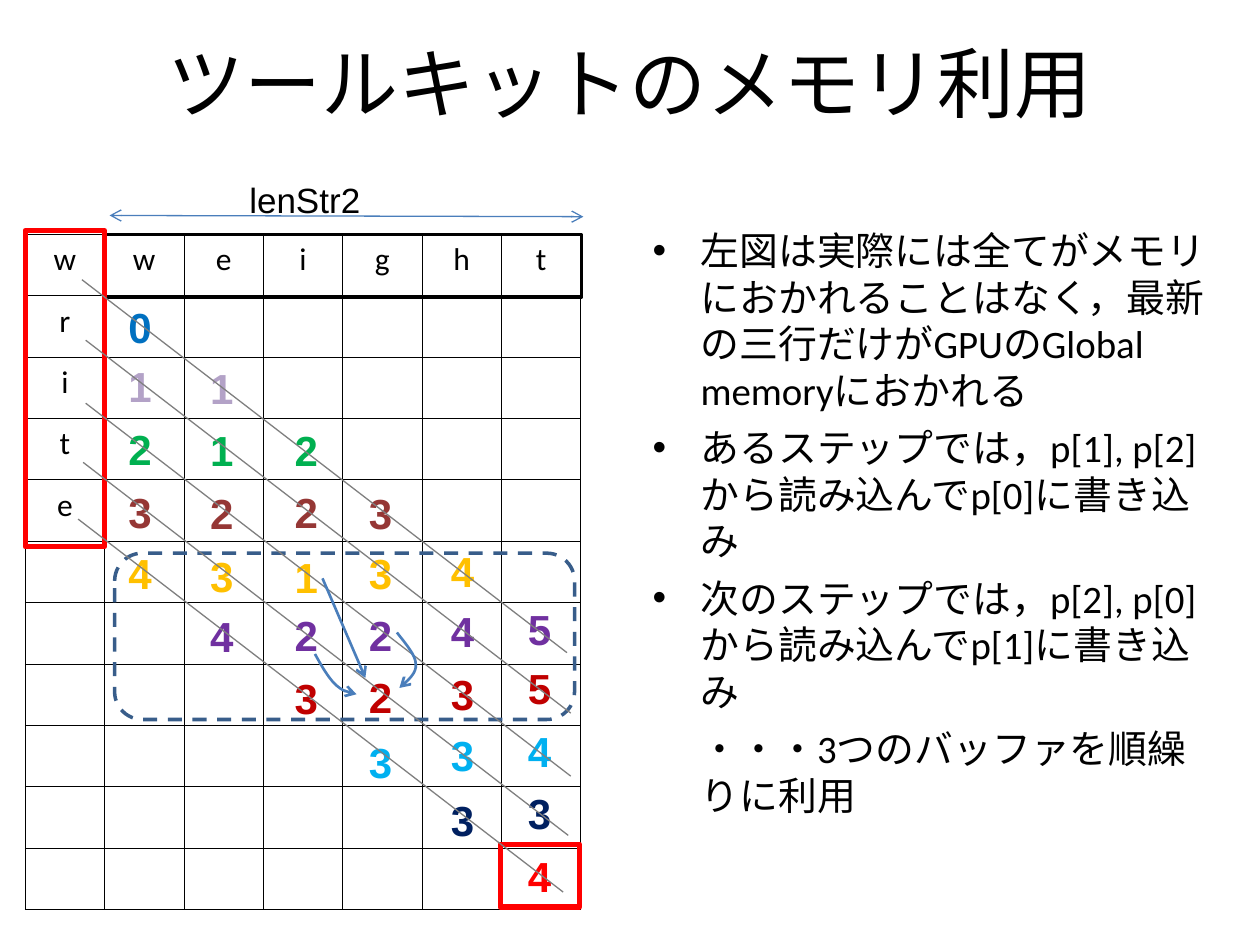
from lxml.etree import SubElement
from pptx import Presentation
from pptx.dml.color import RGBColor
from pptx.enum.dml import MSO_LINE
from pptx.enum.shapes import MSO_CONNECTOR, MSO_SHAPE
from pptx.enum.text import MSO_ANCHOR, MSO_AUTO_SIZE, PP_ALIGN
from pptx.oxml import parse_xml
from pptx.oxml.ns import nsdecls, qn
from pptx.util import Inches, Pt

INK = {
    "black": "000000", "red": "FF0000", "gray": "7F7F7F", "arrow": "4A7EBB",
    "frame": "385D8A", "blue": "0070C0", "lilac": "B3A2C7", "green": "00B050",
    "brown": "953735", "gold": "FFC000", "purple": "7030A0",
    "crimson": "C00000", "sky": "00B0F0", "navy": "002060",
}


def write(par, text, size, face="Calibri", ink="black", bold=False):
    run = par.add_run()
    run.text = text
    run.font.size = Pt(size)
    run.font.name = face
    run.font.bold = bold
    run.font.color.rgb = RGBColor.from_string(INK[ink])


def stroke(shape, ink, width, dash=None, ends=()):
    """Give a shape a plain line, optional arrowheads and no shadow."""
    line = shape.line
    line.color.rgb = RGBColor.from_string(INK[ink])
    line.width = Pt(width)
    if dash:
        line.dash_style = dash
    for end in ends:
        SubElement(line._get_or_add_ln(), qn(f"a:{end}"), type="arrow")
    SubElement(shape._element.spPr, qn("a:effectLst"))


deck = Presentation()
deck.slide_width, deck.slide_height = Inches(10), Inches(7.5)
slide = deck.slides.add_slide(deck.slide_layouts[1])
shapes = slide.shapes

# Title
title = shapes.title
title.left, title.top = Inches(0.5), Inches(0.3)
title.width, title.height = Inches(9), Inches(0.69)
frame = title.text_frame
frame.auto_size = MSO_AUTO_SIZE.NONE
frame.vertical_anchor = MSO_ANCHOR.MIDDLE
frame.paragraphs[0].alignment = PP_ALIGN.CENTER
write(frame.paragraphs[0], "ツールキットのメモリ利用", 44)

# Notes on the right; the last one has a tab in place of a bullet
body = slide.placeholders[1]
body.left, body.top = Inches(5.08), Inches(1.75)
body.width, body.height = Inches(4.62), Inches(4.95)
frame = body.text_frame
frame.auto_size = MSO_AUTO_SIZE.NONE
points = [
    "左図は実際には全てがメモリにおかれることはなく，最新の三行だけがGPUのGlobal memoryにおかれる",
    "あるステップでは，p[1], p[2]から読み込んでp[0]に書き込み",
    "次のステップでは，p[2], p[0]から読み込んでp[1]に書き込み",
    "\t・・・3つのバッファを順繰りに利用",
]
for i, text in enumerate(points):
    par = frame.add_paragraph() if i else frame.paragraphs[0]
    props = par._p.get_or_add_pPr()
    props.set("marL", str(Inches(0.38)))
    props.set("indent", str(Inches(-0.38)))
    if text.startswith("\t"):
        SubElement(props, qn("a:buNone"))
    else:
        SubElement(props, qn("a:buChar"), char="•")
    par.space_before = Pt(6 if i else 0)
    write(par, text, 22.2)

# Grid with one word across and one word down
ROWS, COLS = 11, 7
table = shapes.add_table(ROWS, COLS, Inches(0.2), Inches(1.86),
                         Inches(4.41), Inches(5.36)).table
table.first_row = table.horz_banding = False
across, down = "wweight", "write"
for r in range(ROWS):
    for c in range(COLS):
        cell = table.cell(r, c)
        cell.fill.background()
        props = cell._tc.get_or_add_tcPr()
        for i, side in enumerate("LRTB"):
            props.insert(i, parse_xml(
                f'<a:ln{side} {nsdecls("a")} w="{Pt(0.45)}"><a:solidFill>'
                f'<a:srgbClr val="{INK["black"]}"/></a:solidFill></a:ln{side}>'))
        mark = across[c] if r == 0 else down[r] if c == 0 and r < len(down) else ""
        if mark:
            par = cell.text_frame.paragraphs[0]
            par.alignment = PP_ALIGN.CENTER
            write(par, mark, 18)

# Distances: colour, first column, digits and their tops
lefts = [0.92, 1.57, 2.24, 2.83, 3.48, 4.09]
steps = [
    ("blue", 0, "0", [2.34]),
    ("lilac", 0, "11", [2.81, 2.83]),
    ("green", 0, "212", [3.31, 3.32, 3.32]),
    ("brown", 0, "3223", [3.81, 3.82, 3.81, 3.82]),
    ("gold", 0, "43134", [4.3, 4.32, 4.33, 4.3, 4.28]),
    ("purple", 1, "42245", [4.8, 4.79, 4.79, 4.76, 4.74]),
    ("crimson", 2, "3235", [5.29, 5.28, 5.26, 5.21]),
    ("sky", 3, "334", [5.8, 5.74, 5.71]),
    ("navy", 4, "33", [6.26, 6.2]),
    ("red", 5, "4", [6.7]),
]
labels = [(digit, x, y, 0.38, 0.5, 24, ink, True)
          for ink, first, digits, tops in steps
          for digit, x, y in zip(digits, lefts[first:], tops)]
labels.append(("lenStr2", 1.88, 1.37, 1.08, 0.44, 20, "black", False))
for text, x, y, w, h, size, ink, bold in labels:
    box = shapes.add_textbox(Inches(x), Inches(y), Inches(w), Inches(h))
    box.text_frame.word_wrap = False
    write(box.text_frame.paragraphs[0], text, size, "Arial", ink, bold)

# Frames: result, top word, side word, the three rows in memory
RECT, ROUND = MSO_SHAPE.RECTANGLE, MSO_SHAPE.ROUNDED_RECTANGLE
for kind, x, y, w, h, ink, width, dash in [
    (RECT, 3.97, 6.7, 0.63, 0.5, "red", 3, None),
    (RECT, 0.84, 1.86, 3.78, 0.5, "black", 1.5, None),
    (RECT, 0.2, 1.83, 0.63, 2.51, "red", 3, None),
    (ROUND, 0.91, 4.39, 3.65, 1.32, "frame", 2, MSO_LINE.DASH),
]:
    box = shapes.add_shape(kind, Inches(x), Inches(y), Inches(w), Inches(h))
    box.fill.background()
    stroke(box, ink, width, dash)

# Diagonals and the length arrow
both = ("headEnd", "tailEnd")
lines = [(x, y, x + 3.85, y + 2.96, "gray", ()) for x, y in
         [(0.65, 2.22), (0.68, 2.7), (0.68, 3.2), (0.66, 3.67), (0.62, 4.12)]]
lines.append((0.87, 1.71, 4.63, 1.72, "arrow", both))
for x1, y1, x2, y2, ink, ends in lines:
    line = shapes.add_connector(MSO_CONNECTOR.STRAIGHT, Inches(x1), Inches(y1),
                                Inches(x2), Inches(y2))
    stroke(line, ink, 0.75, ends=ends)

# Curved arrows: cubic Bezier segments drawn in short steps
curves = [
    [(3.15, 5.02), (3.22, 5.11), (3.3, 5.2), (3.3, 5.27),
     (3.31, 5.34), (3.24, 5.4), (3.17, 5.46)],
    [(2.5, 5.19), (2.55, 5.28), (2.6, 5.37), (2.66, 5.43),
     (2.71, 5.48), (2.77, 5.5), (2.83, 5.51)],
]
trails = [[(2.56, 4.59), (2.9, 5.38)]]
for curve in curves:
    trail = [curve[0]]
    for k in range(0, len(curve) - 1, 3):
        for t in [n / 8 for n in range(1, 9)]:
            parts = ((1 - t) ** 3, 3 * t * (1 - t) ** 2, 3 * t * t * (1 - t), t ** 3)
            trail.append(tuple(sum(p * knot[axis] for p, knot in
                                   zip(parts, curve[k:k + 4])) for axis in (0, 1)))
    trails.append(trail)
for trail in trails:
    start, *rest = [(Inches(x), Inches(y)) for x, y in trail]
    pen = shapes.build_freeform(*start)
    pen.add_line_segments(rest, close=False)
    arrow = pen.convert_to_shape()
    arrow.fill.background()
    stroke(arrow, "arrow", 1.5, ends=("tailEnd",))

deck.save("out.pptx")
